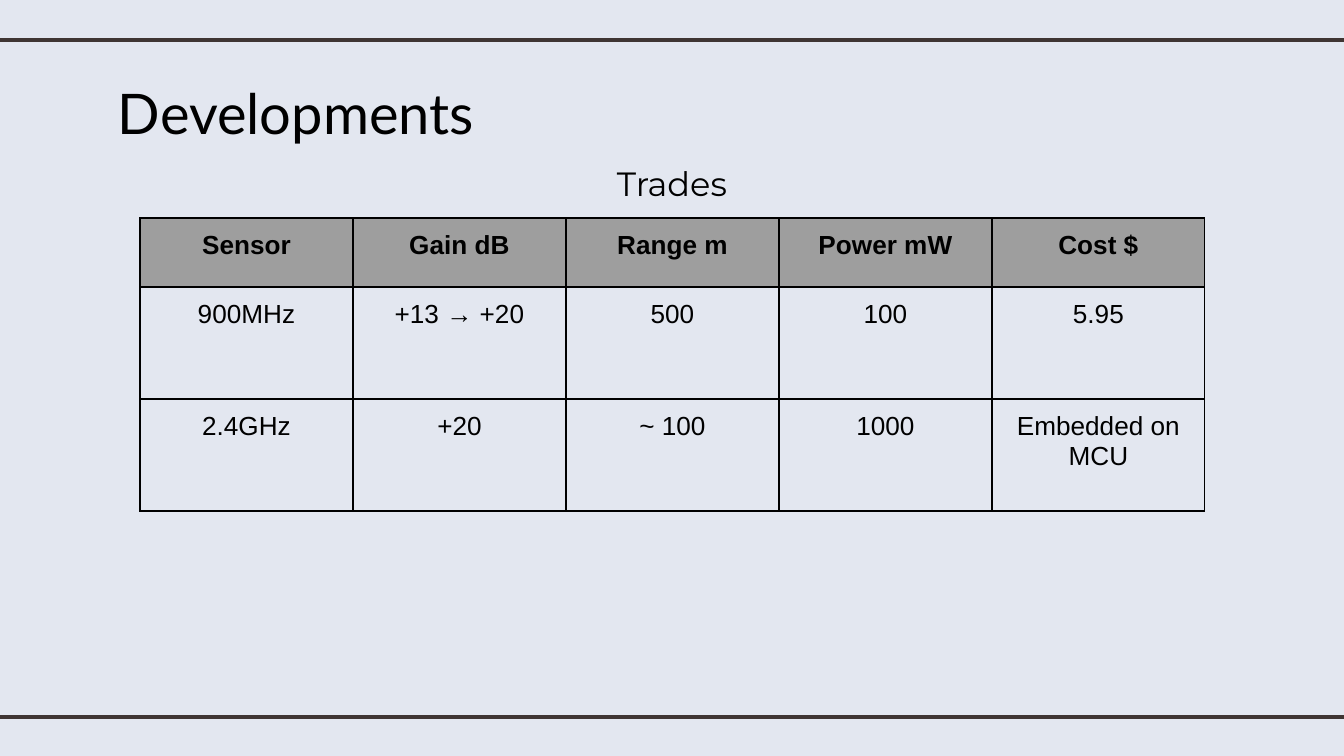
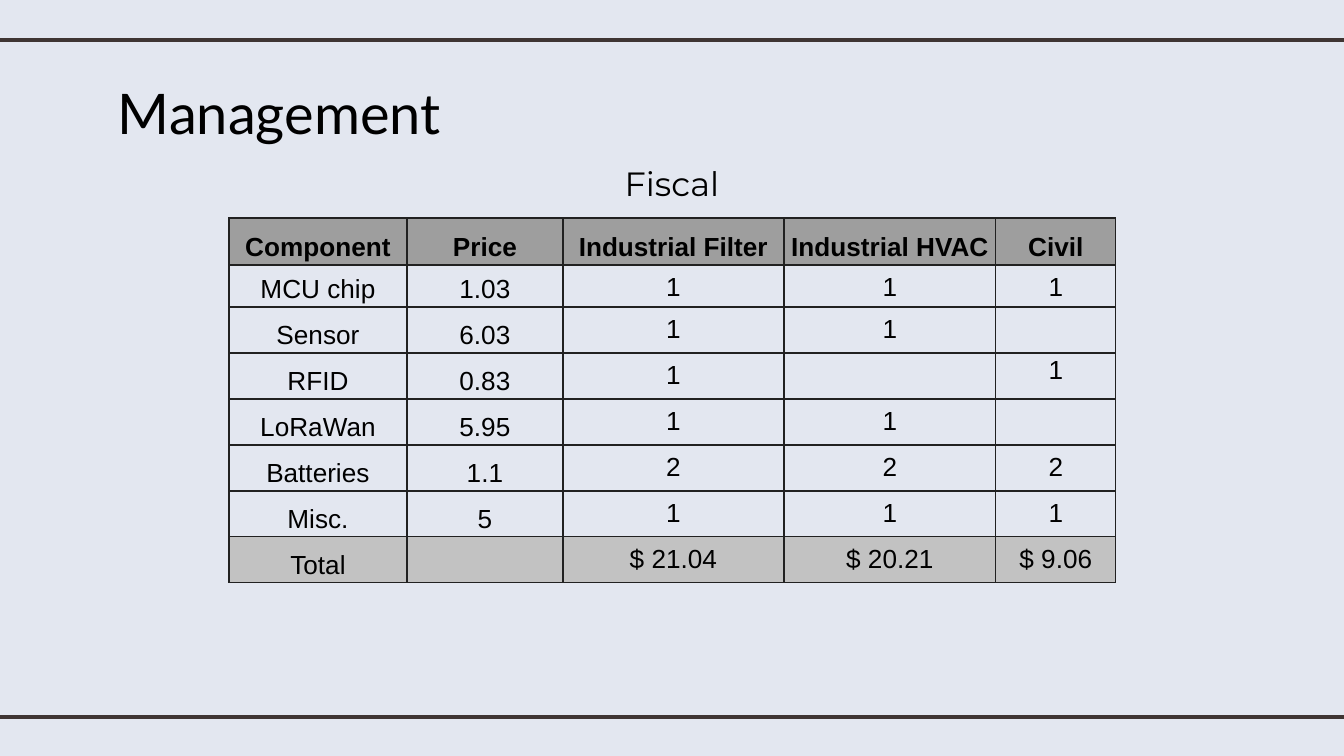
import pptx
import pptx.util
import pptx.dml.color
import pptx.enum.shapes
import pptx.enum.text
import pptx.oxml
import pptx.oxml.ns

PX = 914400 / 134.4
W, H = 1344, 756
COLORS = {"bg": "E3E7F0", "rule": "3F3533", "text": "000000", "grid": "212121",
          "head": "9E9E9E", "total": "C2C2C2"}
ANCHOR = pptx.enum.text.MSO_ANCHOR
ALIGN = pptx.enum.text.PP_ALIGN

TRADES = [
    ["Sensor", "Gain dB", "Range m", "Power mW", "Cost $"],
    ["900MHz", "+13 → +20", "500", "100", "5.95"],
    ["2.4GHz", "+20", "~ 100", "1000", "Embedded on MCU"],
]
FISCAL = [
    ["Component", "Price", "Industrial Filter", "Industrial HVAC", "Civil"],
    ["MCU chip", "1.03", "1", "1", "1"],
    ["Sensor", "6.03", "1", "1", ""],
    ["RFID", "0.83", "1", "", "1"],
    ["LoRaWan", "5.95", "1", "1", ""],
    ["Batteries", "1.1", "2", "2", "2"],
    ["Misc.", "5", "1", "1", "1"],
    ["Total", "", "$ 21.04", "$ 20.21", "$ 9.06"],
]


def px(n):
    """Turn pixels into EMU."""
    return pptx.util.Emu(round(n * PX))


def rgb(name):
    """Look up a colour by name."""
    return pptx.dml.color.RGBColor.from_string(COLORS[name])


def style(p, font, size, align, bold=False):
    """Set the alignment and font of a paragraph."""
    p.alignment = align
    p.font.name = font
    p.font.size = pptx.util.Pt(size)
    p.font.bold = bold
    p.font.color.rgb = rgb("text")


def add_text(s, box, text, font, size, align):
    """Add one line of text in a box."""
    tf = s.shapes.add_textbox(*map(px, box)).text_frame
    tf.word_wrap = True
    tf.margin_left = tf.margin_right = tf.margin_top = tf.margin_bottom = px(13)
    p = tf.paragraphs[0]
    p.text = text
    style(p, font, size, align)


def add_rule(s, y):
    """Draw a rule across the whole slide."""
    c = s.shapes.add_connector(pptx.enum.shapes.MSO_CONNECTOR.STRAIGHT,
                               px(-11), px(y), px(W + 11), px(y))
    c.line.color.rgb = rgb("rule")
    c.line.width = pptx.util.Pt(2.25)
    c._element.spPr.append(pptx.oxml.parse_xml(
        f'<a:effectLst {pptx.oxml.ns.nsdecls("a")}/>'))


def add_borders(cell, color):
    """Outline a cell on all four sides."""
    tcPr = cell._tc.get_or_add_tcPr()
    for side in "LRTB":
        tcPr.append(pptx.oxml.parse_xml(
            f'<a:ln{side} {pptx.oxml.ns.nsdecls("a")} w="9525"><a:solidFill>'
            f'<a:srgbClr val="{COLORS[color]}"/></a:solidFill></a:ln{side}>'))


def add_table(s, left, top, cols, heights, rows, grid, margins, fills):
    """Add a table with centred text, a bold first row and filled rows."""
    table = s.shapes.add_table(len(rows), len(cols), px(left), px(top),
                               px(sum(cols)), px(sum(heights))).table
    table.horz_banding = table.first_row = False
    for column, width in zip(table.columns, cols):
        column.width = px(width)
    for i, (row, height) in enumerate(zip(rows, heights)):
        table.rows[i].height = px(height)
        for j, text in enumerate(row):
            cell = table.cell(i, j)
            cell.margin_left = cell.margin_right = px(margins[0])
            cell.margin_top = cell.margin_bottom = px(margins[1])
            add_borders(cell, grid)
            if i in fills:
                cell.fill.solid()
                cell.fill.fore_color.rgb = rgb(fills[i])
            else:
                cell.fill.background()
            p = cell.text_frame.paragraphs[0]
            p.text = text
            style(p, "Arial", 14, ALIGN.CENTER, i == 0)
    return table


def add_page(prs, title, caption):
    """Add a slide with background, rules, title and caption."""
    s = prs.slides.add_slide(prs.slide_layouts[6])
    s.background.fill.solid()
    s.background.fill.fore_color.rgb = rgb("bg")
    for y in (40, H - 39):
        add_rule(s, y)
    add_text(s, (105, 66, 1134, 84), title, "Lato", 30, ALIGN.LEFT)
    add_text(s, (302, 150, 740, 67), caption, "Montserrat", 18, ALIGN.CENTER)
    return s


def trades_slide(prs):
    """Compare the radio options."""
    s = add_page(prs, "Developments", "Trades")
    add_table(s, 140, 218, [213] * 5, [69, 112, 112], TRADES, "text",
              (13, 13), {0: "head"})


def fiscal_slide(prs):
    """List component prices and counts with totals."""
    s = add_page(prs, "Management", "Fiscal")
    table = add_table(s, 229, 218, [178, 156, 221, 212, 120], [47, 41] + [46] * 6,
                      FISCAL, "grid", (4, 3), {0: "head", 7: "total"})
    for i, row in enumerate(FISCAL):
        for j, text in enumerate(row):
            cell = table.cell(i, j)
            if i == 0 or j < 2:
                cell.vertical_anchor = ANCHOR.BOTTOM
            if text and (row[0], j) != ("RFID", 4):
                cell.text_frame.paragraphs[0].line_spacing = 1.15


def main():
    """Build the two slides."""
    prs = pptx.Presentation()
    prs.slide_width, prs.slide_height = px(W), px(H)
    trades_slide(prs)
    fiscal_slide(prs)
    prs.save("out.pptx")


if __name__ == "__main__":
    main()
